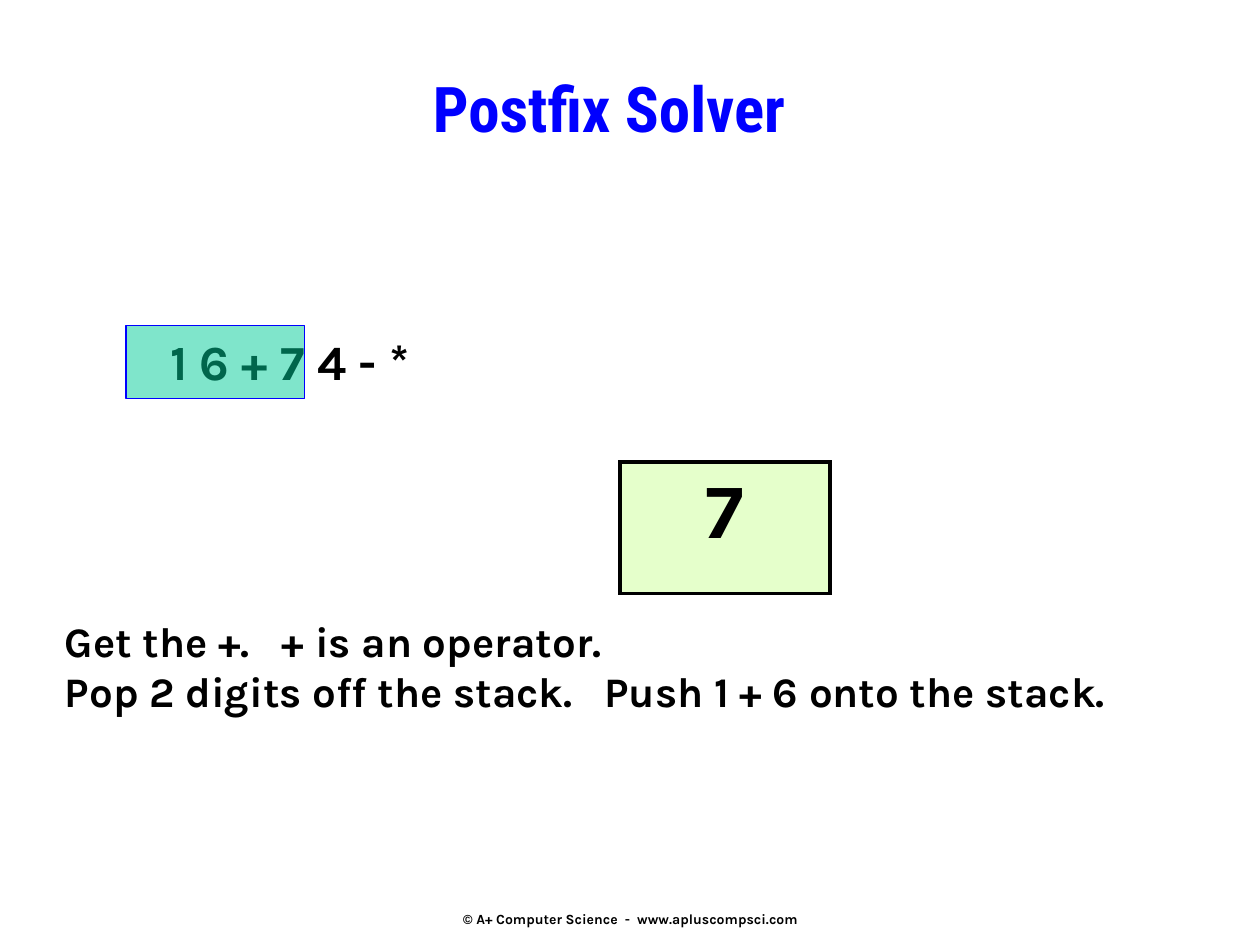
"""Build the Postfix Solver slide showing the stack after the plus operator."""
from lxml import etree
from pptx import Presentation
from pptx.dml.color import RGBColor
from pptx.enum.shapes import MSO_SHAPE
from pptx.enum.text import MSO_ANCHOR, MSO_AUTO_SIZE, PP_ALIGN
from pptx.oxml.ns import qn
from pptx.util import Cm, Pt

RECT = MSO_SHAPE.RECTANGLE
TOP, MIDDLE = MSO_ANCHOR.TOP, MSO_ANCHOR.MIDDLE
LEFT, CENTER = PP_ALIGN.LEFT, PP_ALIGN.CENTER
FIXED = MSO_AUTO_SIZE.NONE
COLORS = {"ink": "000000", "blue": "0000FF", "glow": "CCFFFF",
          "teal": "00CC99", "lime": "CCFF99"}
HEAD, BODY = "Roboto Condensed", "Karla"


class Deck:
    """Hold the style and the current slide."""

    def __init__(self):
        self.prs = Presentation()
        self.prs.slide_width, self.prs.slide_height = Cm(25.4), Cm(19.05)
        self.slide = self.prs.slides.add_slide(self.prs.slide_layouts[5])

    def color(self, name):
        return RGBColor.from_string(COLORS[name])

    def style(self, frame, text, size, align=LEFT, face=BODY, color="ink"):
        frame.text = text
        for para in frame.paragraphs:
            para.alignment = align
            for run in para.runs:
                font = run.font
                font.name, font.size, font.bold = face, Pt(size), True
                font.color.rgb = self.color(color)

    def tint(self, fill, props, color):
        fill.solid()
        fill.fore_color.rgb = self.color(color)
        tone = props.find(qn("a:solidFill"))[0]
        etree.SubElement(tone, qn("a:alpha"), val="50000")

    def stroke(self, tag, color, width):
        line = etree.Element(qn(tag), w=str(Pt(width)))
        fill = etree.SubElement(line, qn("a:solidFill"))
        etree.SubElement(fill, qn("a:srgbClr"), val=COLORS[color])
        return line

    def title(self, text, box):
        shape = self.slide.shapes.title
        shape.left, shape.top, shape.width, shape.height = map(Cm, box)
        frame = shape.text_frame
        frame.auto_size, frame.vertical_anchor = FIXED, TOP
        self.style(frame, text, 36, CENTER, HEAD, "blue")
        for run in frame.paragraphs[0].runs:
            props = run._r.get_or_add_rPr()
            props.insert(0, self.stroke("a:ln", "glow", 0.75))

    def text(self, text, box, size, align=LEFT, anchor=TOP):
        frame = self.slide.shapes.add_textbox(*map(Cm, box)).text_frame
        frame.word_wrap, frame.vertical_anchor = True, anchor
        self.style(frame, text, size, align)

    def marker(self, box):
        shape = self.slide.shapes.add_shape(RECT, *map(Cm, box))
        shape.shadow.inherit = False
        self.tint(shape.fill, shape._element.spPr, "teal")
        shape.line.color.rgb = self.color("blue")
        shape.line.width = Pt(0.75)

    def stack(self, items, box):
        table = self.slide.shapes.add_table(len(items), 1, *map(Cm, box)).table
        for row, item in enumerate(items):
            cell = table.cell(row, 0)
            props = cell._tc.get_or_add_tcPr()
            for side in "LRTB":
                props.append(self.stroke(f"a:ln{side}", "ink", 2.25))
            self.tint(cell.fill, props, "lime")
            self.style(cell.text_frame, item, 44, CENTER)


def main():
    deck = Deck()
    deck.title("Postfix Solver", (3.18, 1.27, 18.2, 2.12))
    deck.text("© A+ Computer Science  -  www.apluscompsci.com",
              (8.69, 18.02, 8.05, 1), 8, CENTER, MIDDLE)
    deck.text("1 6 + 7 4 - *", (3.18, 6.56, 6.65, 1.45), 28)
    deck.marker((2.54, 6.56, 3.6, 1.48))
    deck.text("Get the +.   + is an operator.\v"
              "Pop 2 digits off the stack.   Push 1 + 6 onto the stack.",
              (1.06, 12.28, 23.28, 2.29), 24)
    deck.stack(["7"], (12.5, 9.31, 4.23, 2.65))
    deck.prs.save("out.pptx")


if __name__ == "__main__":
    main()
